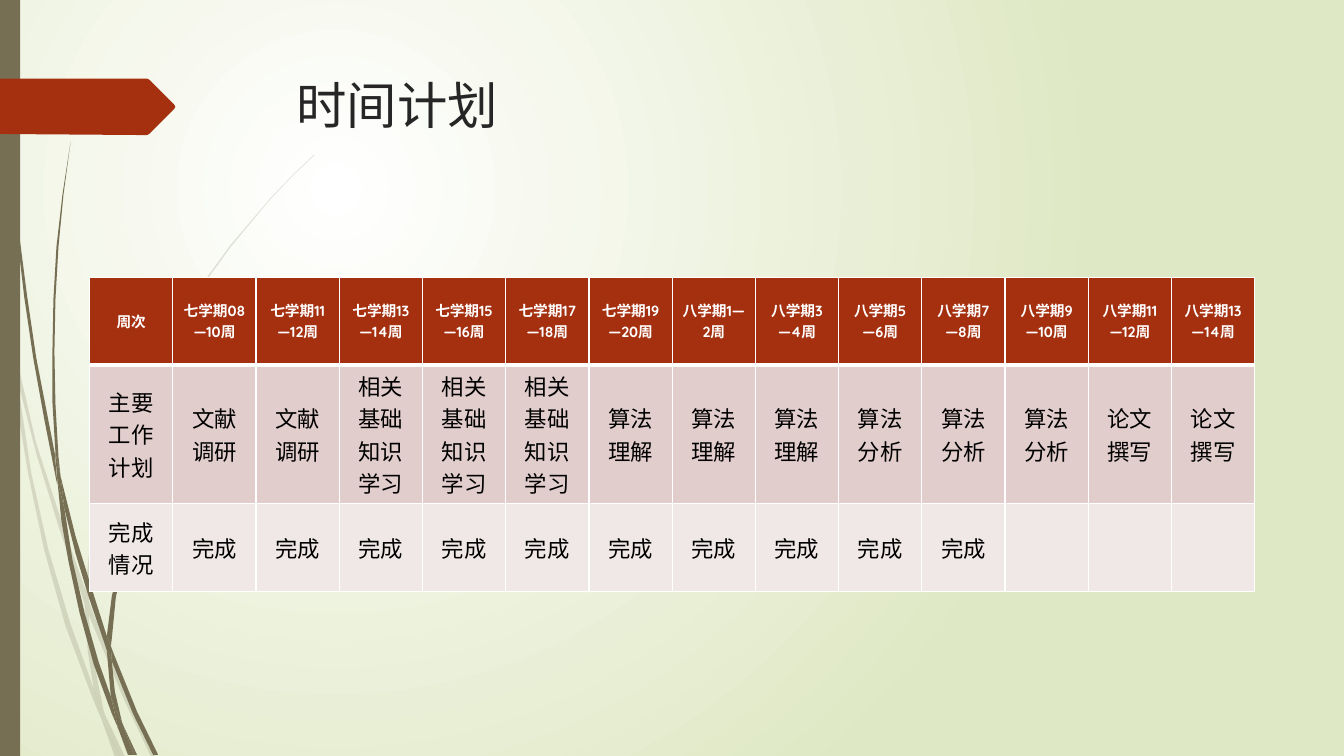
from lxml.etree import SubElement
from pptx import Presentation
from pptx.dml.color import RGBColor
from pptx.enum.shapes import MSO_SHAPE
from pptx.enum.text import MSO_ANCHOR, PP_ALIGN
from pptx.oxml import parse_xml
from pptx.oxml.ns import nsdecls, qn
from pptx.util import Pt

OLIVE, RUST, WHITE = "766F54", "A53010", "FFFFFF"
HUNDREDTH_INCH = Pt(0.72)

PALE_GRASS = [
    "11,350 9,322 0,282 0,299 10,344",
    "58,522 84,599 85,586 62,520 36,440 14,345 17,376 36,450",
    "92,607 88,596 88,610 123,694 150,751 155,751 127,692",
    "119,751 124,751 105,711",
    "93,683 70,619 48,545 31,469 17,376 11,350 18,410 28,470 44,546 65,621 92,693 101,714 99,707",
    "84,599 87,646 93,683 96,692 105,711 103,706 91,646 88,610 88,608",
    "88,584 93,522 110,462 132,405 160,349 192,296 229,245 268,198 290,175 312,154 312,153 "
    "289,175 268,197 228,244 191,295 158,348 130,404 107,461 91,522 85,584 85,586 88,596",
    "101,714 114,751 119,751",
    "88,608 88,610 88,596 85,586 84,599",
    "96,692 93,683 99,707 101,714 119,751 105,711",
]
DARK_GRASS = [
    "7,110 11,172 17,233 24,294 33,355 44,416 56,477 57,481 55,457 55,453 36,355 27,294 "
    "19,232 12,171 8,109 5,48 4,0 3,0 4,48",
    "88,592 106,645 106,633 106,631 93,590 75,532 60,472 64,505 75,549",
    "113,649 110,641 111,656 132,708 152,749 157,749 136,706",
    "110,691 98,657 84,608 72,556 64,505 57,477 61,517 68,557 79,608 93,659 111,708 117,722 116,717",
    "60,472 58,453 55,401 54,349 55,297 58,245 63,193 70,141 62,193 56,245 53,297 52,349 "
    "52,399 55,449",
    "133,749 136,749 122,719",
    "57,477 64,505 60,472 55,449 55,453",
    "111,633 115,592 125,552 140,513 158,476 180,440 205,406 231,374 245,359 261,344 260,344 "
    "245,358 231,373 204,405 179,439 156,474 137,512 122,551 111,591 106,631 110,641",
    "117,722 127,749 131,749",
    "106,645 110,691 116,706 122,719 121,716 114,686 111,656 109,651",
    "106,645 109,651 111,656 110,641 106,631 106,633",
    "116,706 110,691 116,717 117,722 130,749 133,749 122,719",
]
RIBBON = "173,108 148,133 146,134 136,134 0,133 0,78 136,78 146,78 148,79 173,104 174,106"

WEEK_LABELS = (
    ["周次", "七学期08—10周"]
    + [f"七学期{week}—{week + 1}周" for week in range(11, 20, 2)]
    + [f"八学期{week}—{week + 1}周" for week in range(1, 14, 2)]
)
TASKS = (
    ["主要工作计划"] + ["文献调研"] * 2 + ["相关基础知识学习"] * 3
    + ["算法理解"] * 3 + ["算法分析"] * 3 + ["论文撰写"] * 2
)
PROGRESS = ["完成情况"] + ["完成"] * 10 + [""] * 3


def colour(hex_code):
    """Turn a hex string into a colour."""
    return RGBColor.from_string(hex_code)


def write(frame, text, size=16, font="Quicksand", ink="000000", bold=False, align=PP_ALIGN.LEFT):
    """Put formatted text into a text frame."""
    paragraph = frame.paragraphs[0]
    paragraph.alignment = align
    run = paragraph.add_run()
    run.text = text
    run.font.size = Pt(size)
    run.font.name = font
    run.font.bold = bold
    run.font.color.rgb = colour(ink)


def paint(shape, fill, opacity=100):
    """Give a shape a plain fill without line or shadow."""
    shape.shadow.inherit = False
    shape.fill.solid()
    shape.fill.fore_color.rgb = colour(fill)
    shape.line.fill.background()
    if opacity < 100:
        tint = shape.fill._xPr.find(".//" + qn("a:srgbClr"))
        SubElement(tint, qn("a:alpha"), val=str(opacity * 1000))


def add_outline(slide, left, top, outline, fill, opacity=100):
    """Draw a closed outline whose points are hundredths of an inch."""
    points = [tuple(map(int, pair.split(","))) for pair in outline.split()]
    builder = slide.shapes.build_freeform(*points[0], scale=HUNDREDTH_INCH)
    builder.add_line_segments(points[1:], close=True)
    paint(builder.convert_to_shape(Pt(left), Pt(top)), fill, opacity)


def add_backdrop(slide):
    """Fill the background with a radial glow."""
    stops = "".join(
        f'<a:gs pos="{pos}"><a:srgbClr val="{tint}"/></a:gs>'
        for pos, tint in ((0, WHITE), (100000, "DFE8C4"))
    )
    glow = parse_xml(
        f'<p:bg {nsdecls("p", "a")}><p:bgPr><a:gradFill rotWithShape="1"><a:gsLst>{stops}</a:gsLst>'
        '<a:path path="circle"><a:fillToRect l="50000" t="50000" r="100000" b="100000"/></a:path>'
        "</a:gradFill><a:effectLst/></p:bgPr></p:bg>"
    )
    slide.element.cSld.insert(0, glow)


def add_margin_art(slide, left, top, width, height):
    """Draw the grass, the side bar and the ribbon at the left edge."""
    for blade in PALE_GRASS:
        add_outline(slide, left, top, blade, OLIVE, opacity=20)
    for blade in DARK_GRASS:
        add_outline(slide, left, top, blade, OLIVE)
    side_bar = slide.shapes.add_shape(
        MSO_SHAPE.RECTANGLE, Pt(left), Pt(top), Pt(width), Pt(height)
    )
    paint(side_bar, OLIVE)
    add_outline(slide, left, top, RIBBON, RUST)


def add_heading(slide, left, top, width, height):
    """Place the slide title."""
    heading = slide.shapes.title
    heading.left, heading.top = Pt(left), Pt(top)
    heading.width, heading.height = Pt(width), Pt(height)
    heading.text_frame.vertical_anchor = MSO_ANCHOR.TOP
    write(heading.text_frame, "时间计划", size=36, ink="262626")


def add_borders(cell, top=1, bottom=1):
    """Rule a cell in white on all four sides."""
    properties = cell._tc.get_or_add_tcPr()
    sides = (("L", 1), ("R", 1), ("T", top), ("B", bottom))
    for position, (side, weight) in enumerate(sides):
        properties.insert(position, parse_xml(
            f'<a:ln{side} {nsdecls("a")} w="{Pt(weight)}"><a:solidFill>'
            f'<a:srgbClr val="{WHITE}"/></a:solidFill></a:ln{side}>'
        ))


def add_schedule(slide, left, top, width, height):
    """Lay out the weekly plan as a table."""
    header = dict(size=10.5, ink=WHITE, bold=True)
    bands = [
        (WEEK_LABELS, RUST, header, dict(bottom=3)),
        (TASKS, "E1CDCC", {}, dict(top=3)),
        (PROGRESS, "F0E8E7", {}, {}),
    ]
    schedule = slide.shapes.add_table(
        len(bands), len(WEEK_LABELS), Pt(left), Pt(top), Pt(width), Pt(height)
    ).table
    for column in schedule.columns:
        column.width = Pt(width / len(WEEK_LABELS))
    outer_height = 62.5
    for row, row_height in zip(schedule.rows, (outer_height, height - 2 * outer_height, outer_height)):
        row.height = Pt(row_height)
    for row, (labels, fill, style, edges) in zip(schedule.rows, bands):
        for index, (cell, label) in enumerate(zip(row.cells, labels)):
            cell.fill.solid()
            cell.fill.fore_color.rgb = colour(fill)
            cell.vertical_anchor = MSO_ANCHOR.MIDDLE
            add_borders(cell, **edges)
            if label:
                font = "Arial" if labels is TASKS and index else "Quicksand"
                write(cell.text_frame, label, font=font, align=PP_ALIGN.CENTER, **style)


def main():
    """Build and save the slide."""
    deck = Presentation()
    deck.slide_width, deck.slide_height = Pt(960), Pt(540)
    slide = deck.slides.add_slide(deck.slide_layouts[5])
    add_backdrop(slide)
    add_margin_art(slide, 0, 0, 14.4, 540)
    add_heading(slide, 204.5, 49, 702, 101)
    add_schedule(slide, 64, 198, 832.5, 212.5)
    deck.save("out.pptx")


if __name__ == "__main__":
    main()
